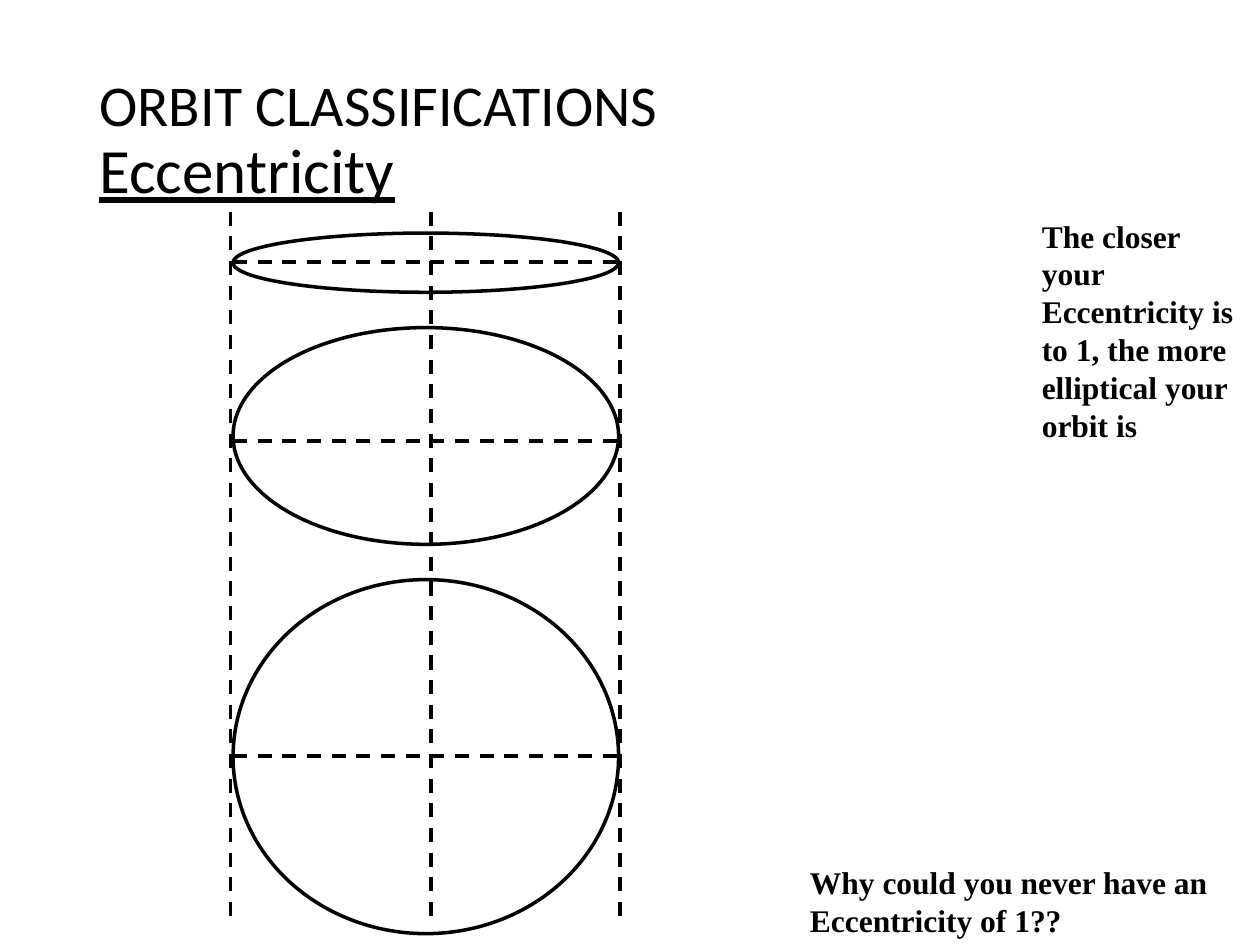
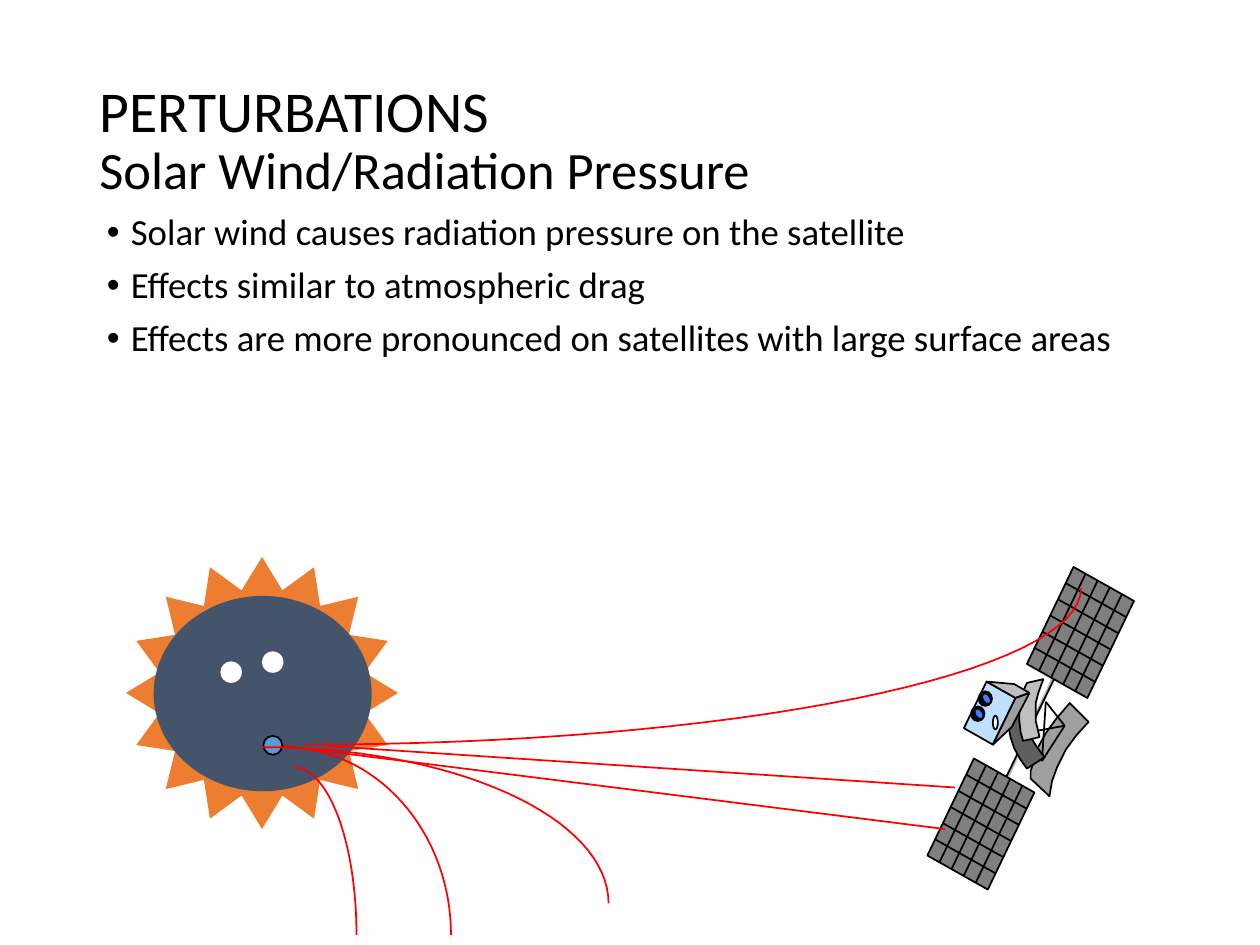
from dataclasses import dataclass
from math import cos, pi, sin

from lxml.etree import SubElement
from pptx import Presentation
from pptx.dml.color import RGBColor as Color
from pptx.enum.dml import MSO_LINE_DASH_STYLE as Dash
from pptx.enum.shapes import MSO_CONNECTOR as Connector, MSO_SHAPE as Shape
from pptx.enum.text import MSO_ANCHOR as Anchor
from pptx.oxml.ns import qn
from pptx.util import Cm, Pt


@dataclass(frozen=True)
class Theme:
    black: str = "000000"
    white: str = "FFFFFF"
    ray: str = "ED7D31"
    sun: str = "44546A"
    mouth: str = "5B9BD5"
    wind: str = "FF0000"
    panel: str = "7F7F7F"
    silver: str = "BFBFBF"
    gray: str = "9F9F9F"
    dark: str = "5F5F5F"
    glass: str = "BFDFFF"
    lens: str = "3F7FFF"
    sans: str = "Calibri"
    serif: str = "Times New Roman"
    heading: int = 33
    eccentricity: int = 36
    pressure: int = 30
    body: int = 21
    note: int = 18
    thick: int = 2
    thin: int = 1


THEME = Theme()
CM_PER_INCH = 2.54
ARC_STEPS = 32


def length(inches):
    return Cm(inches * CM_PER_INCH)


def lengths(values):
    return [length(value) for value in values]


def format_font(font, size, **values):
    values = {"name": THEME.sans, "size": Pt(size), **values}
    for name, value in values.items():
        setattr(font, name, value)
    font.color.rgb = Color.from_string(THEME.black)


def add_text_box(page, area, anchor=Anchor.TOP):
    frame = page.shapes.add_textbox(*lengths(area)).text_frame
    for name, value in {"word_wrap": True, "vertical_anchor": anchor}.items():
        setattr(frame, name, value)
    return frame


def add_title(page, heading, subtitle, size, **values):
    para = add_text_box(page, (0.69, 0.4, 8.63, 1.45), Anchor.MIDDLE).paragraphs[0]
    para.line_spacing = 0.9
    span = para.add_run()
    span.text = heading
    format_font(span.font, THEME.heading)
    para.add_line_break()
    span = para.add_run()
    span.text = subtitle
    format_font(span.font, size, **values)


def add_note(page, area, text):
    para = add_text_box(page, area).paragraphs[0]
    para.text = text
    format_font(para.runs[0].font, THEME.note, name=THEME.serif, bold=True)


def add_bullets(page, area, items):
    frame = add_text_box(page, area)
    for index, item in enumerate(items):
        para = frame.paragraphs[0] if index == 0 else frame.add_paragraph()
        properties = para._p.get_or_add_pPr()
        indent = length(0.19)
        for name, value in {"marL": indent, "indent": -indent}.items():
            properties.set(name, str(value))
        SubElement(properties, qn("a:buFont"), typeface="Arial")
        SubElement(properties, qn("a:buChar"), char="•")
        para.line_spacing = 0.9
        if index:
            para.space_before = Pt(7.5)
        span = para.add_run()
        span.text = item
        format_font(span.font, THEME.body)


def paint_line(line, color, width, dash=None):
    line.color.rgb = Color.from_string(color)
    line.width = Pt(width)
    if dash:
        line.dash_style = dash


def paint(shape, fill=None, line=None, width=THEME.thin):
    shape.shadow.inherit = False
    if fill:
        shape.fill.solid()
        shape.fill.fore_color.rgb = Color.from_string(fill)
    else:
        shape.fill.background()
    if line:
        paint_line(shape.line, line, width)
    else:
        shape.line.fill.background()


def add_ellipse(shapes, area, rotation=0, **colors):
    ellipse = shapes.add_shape(Shape.OVAL, *lengths(area))
    ellipse.rotation = rotation
    paint(ellipse, **colors)


def add_outline(shapes, points, close=True, **colors):
    start, *rest = [lengths(point) for point in points]
    builder = shapes.build_freeform(*start, scale=1.0)
    builder.add_line_segments(rest, close=close)
    paint(builder.convert_to_shape(), **colors)


def add_line(shapes, start, end, color=THEME.black, width=THEME.thin, dash=None):
    line = shapes.add_connector(Connector.STRAIGHT, *lengths(start + end))
    paint_line(line.line, color, width, dash)
    SubElement(line._element.spPr, qn("a:effectLst"))


def add_quarter_arc(shapes, center, radius_x, radius_y):
    angles = [pi / 2 * step / ARC_STEPS for step in range(ARC_STEPS + 1)]
    points = [(center[0] + radius_x * sin(angle), center[1] + radius_y * cos(angle))
              for angle in angles]
    add_outline(shapes, points, close=False, line=THEME.wind)


def add_sun(shapes):
    center_x, center_y = 2.08, 5.5
    radii = (1.08, 0.83)
    rays = [(center_x - radii[step % 2] * cos(step * pi / 16),
             center_y + radii[step % 2] * sin(step * pi / 16)) for step in range(32)]
    add_outline(shapes, rays, fill=THEME.ray)
    add_ellipse(shapes, (1.22, 4.73, 1.73, 1.55), fill=THEME.sun)
    for left, top in ((1.75, 5.25), (2.08, 5.17)):
        add_ellipse(shapes, (left, top, 0.17, 0.17), fill=THEME.white)
    add_ellipse(shapes, (2.09, 5.84, 0.15, 0.15), fill=THEME.mouth, line=THEME.black)


def between(start, end, share):
    return tuple(first + (last - first) * share for first, last in zip(start, end))


def add_solar_panel(shapes, left, top):
    corners = [(left + x, top + y)
               for x, y in ((0, 0.77), (0.37, 0), (0.85, 0.27), (0.48, 1.04))]
    lower_left, upper_left, upper_right, lower_right = corners
    add_outline(shapes, corners, fill=THEME.panel, line=THEME.black)
    for row in range(1, 6):
        add_line(shapes, between(upper_left, lower_left, row / 6),
                 between(upper_right, lower_right, row / 6))
    for column in range(1, 5):
        add_line(shapes, between(lower_left, lower_right, column / 5),
                 between(upper_left, upper_right, column / 5))


def add_satellite(shapes):
    dish = ((8.18, 6.18), (8.18, 6.12), (8.2, 6.06), (8.24, 5.93), (8.3, 5.82),
            (8.38, 5.71), (8.49, 5.58), (8.64, 5.73), (8.54, 5.84), (8.46, 5.95),
            (8.39, 6.09), (8.35, 6.2), (8.33, 6.32))
    add_outline(shapes, dish, fill=THEME.gray, line=THEME.black)
    tip, rim, foot, hub = (8.3, 5.57), (8.45, 5.76), (8.27, 6.04), (8.12, 5.82)
    for start, end in ((tip, foot), (rim, hub), (tip, rim), (rim, foot), (foot, hub)):
        add_line(shapes, start, end)
    add_line(shapes, (7.98, 6.2), (8.37, 5.36), THEME.silver, THEME.thick)
    add_line(shapes, (7.97, 6.2), (8.38, 5.36))
    for left, top in ((7.36, 6.02), (8.15, 4.5)):
        add_solar_panel(shapes, left, top)

    bracket = ((8, 5.7), (8.12, 5.62), (8.14, 5.74), (8.18, 5.85), (8.23, 5.93),
               (8.29, 6.01), (8.15, 6.1), (8.1, 6.03), (8.05, 5.94), (8.02, 5.85),
               (8, 5.74))
    collar = ((8.12, 5.88), (8.1, 5.81), (8.09, 5.72), (8.09, 5.61), (8.11, 5.51),
              (8.15, 5.42), (8.28, 5.39), (8.24, 5.5), (8.22, 5.58), (8.22, 5.72),
              (8.25, 5.85))
    front = ((7.65, 5.78), (7.83, 5.41), (8.06, 5.54), (7.88, 5.91))
    lid = ((7.83, 5.41), (8.05, 5.43), (8.17, 5.5), (8.06, 5.54))
    side = ((7.88, 5.91), (8.06, 5.54), (8.17, 5.5), (8.03, 5.77))
    for points, fill in ((bracket, THEME.dark), (collar, THEME.silver),
                         (front, THEME.glass), (lid, THEME.silver), (side, THEME.gray)):
        add_outline(shapes, points, fill=fill, line=THEME.black)

    for left, top in ((7.7, 5.6), (7.76, 5.48)):
        add_ellipse(shapes, (left, top, 0.12, 0.13), fill=THEME.black)
        add_ellipse(shapes, (left + 0.04, top + 0.02, 0.06, 0.09), rotation=328,
                    fill=THEME.lens, line=THEME.black)
    add_ellipse(shapes, (7.88, 5.68, 0.04, 0.11), fill=THEME.white, line=THEME.black)


def add_orbits(shapes):
    dashed = {"width": THEME.thick, "dash": Dash.DASH}
    for x in (1.83, 3.42, 4.92):
        add_line(shapes, (x, 1.68), (x, 7.32), **dashed)
    for top, height, axis in ((1.85, 0.47, 2.08), (2.6, 1.72, 3.5), (4.6, 2.81, 6)):
        add_ellipse(shapes, (1.85, top, 3.06, height), line=THEME.black,
                    width=THEME.thick)
        add_line(shapes, (1.85, axis), (4.9, axis), **dashed)


def add_solar_wind(shapes):
    for center, radius_x, radius_y in (((2.33, 7.42), 0.5, -1.33),
                                       ((2.42, 4.67), 6.16, 1.24),
                                       ((2.25, 7.42), 1.33, -1.49),
                                       ((2.08, 7.17), 2.75, -1.24)):
        add_quarter_arc(shapes, center, radius_x, radius_y)
    for start, end in (((2.58, 5.92), (7.58, 6.25)), ((2.25, 5.92), (7.5, 6.58))):
        add_line(shapes, start, end, THEME.wind)


def build_eccentricity(page):
    add_title(page, "ORBIT CLASSIFICATIONS", "Eccentricity", THEME.eccentricity,
              underline=True)
    add_note(page, (8.17, 1.67, 1.83, 1.9),
             "The closer your Eccentricity is to 1, the more elliptical your orbit is")
    add_orbits(page.shapes.add_group_shape().shapes)
    add_note(page, (6.33, 6.8, 3.67, 0.7),
             "Why could you never have an Eccentricity of 1??")


def build_perturbations(page):
    add_title(page, "PERTURBATIONS", "Solar Wind/Radiation Pressure", THEME.pressure)
    add_bullets(page, (0.75, 1.65, 8.75, 3.02), (
        "Solar wind causes radiation pressure on the satellite",
        "Effects similar to atmospheric drag",
        "Effects are more pronounced on satellites with large surface areas",
    ))
    for add_drawing in (add_sun, add_satellite, add_solar_wind):
        add_drawing(page.shapes.add_group_shape().shapes)


def main():
    deck = Presentation()
    deck.slide_width, deck.slide_height = lengths((10, 7.5))
    for build in (build_eccentricity, build_perturbations):
        build(deck.slides.add_slide(deck.slide_layouts[6]))
    deck.save("out.pptx")


if __name__ == "__main__":
    main()
